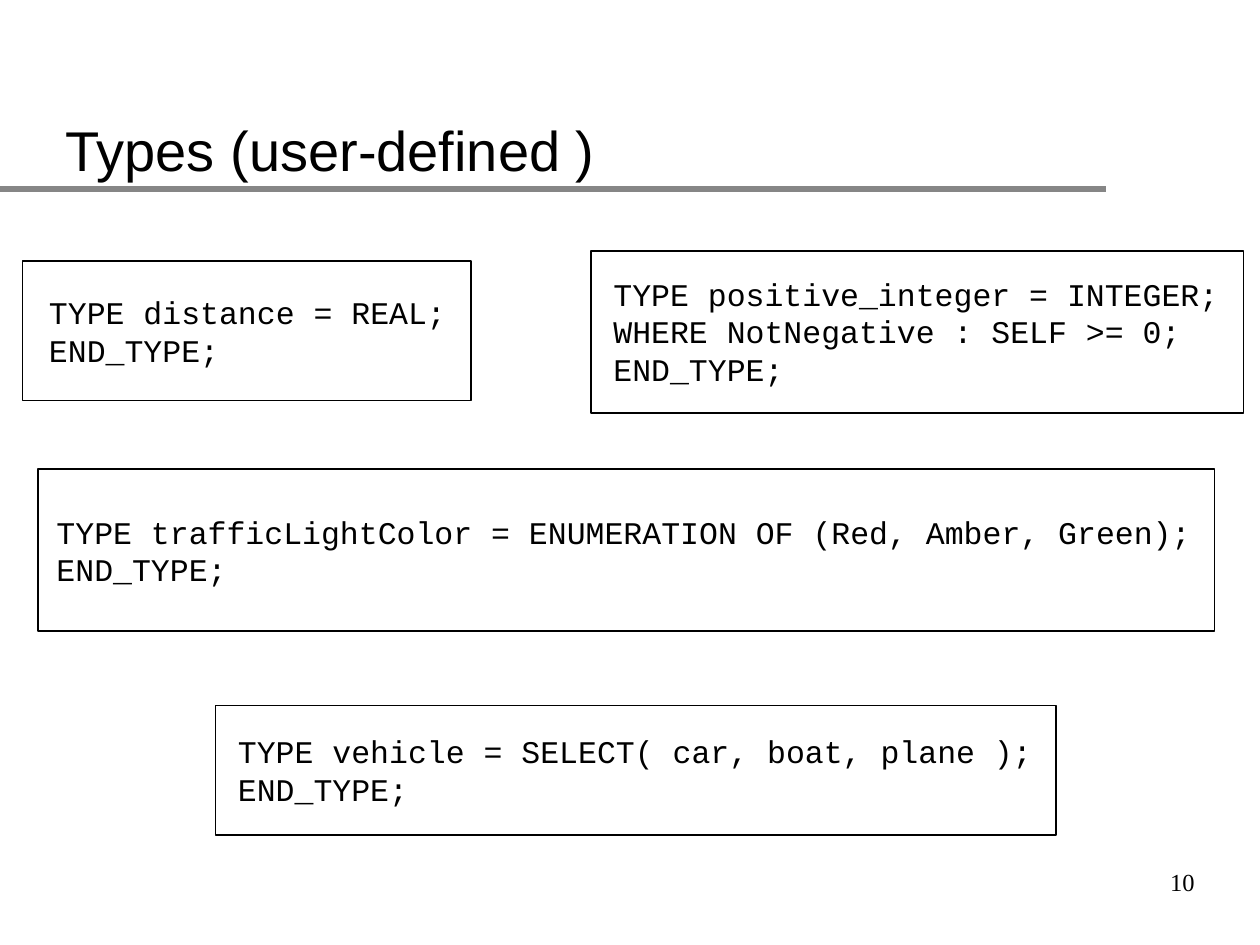
"""Builds the slide on user-defined types."""
from dataclasses import dataclass

from lxml import etree
from pptx import Presentation
from pptx.dml.color import RGBColor
from pptx.enum import shapes, text
from pptx.oxml.ns import qn
from pptx.util import Inches, Pt


@dataclass(frozen=True)
class Theme:
    """Colours, fonts and type sizes of the slide."""
    ink: RGBColor = RGBColor(0x00, 0x00, 0x00)
    paper: RGBColor = RGBColor(0xFF, 0xFF, 0xFF)
    rule: RGBColor = RGBColor(0x86, 0x86, 0x86)
    title_font: str = "Arial"
    code_font: str = "Courier New"
    number_font: str = "Times New Roman"
    title_size: int = 32
    code_size: int = 18
    number_size: int = 14


class SlideBuilder:
    """Holds the theme and the current slide."""

    def __init__(self, prs, theme):
        """Adds a title-only slide."""
        self.theme = theme
        self.s = prs.slides.add_slide(prs.slide_layouts[5])

    def add_text(self, p, content, font, size):
        """Adds one styled run to a paragraph."""
        r = p.add_run()
        r.text = content
        r.font.name = font
        r.font.size = Pt(size)
        r.font.color.rgb = self.theme.ink

    def rule(self, x1, x2, y):
        """Draws the grey horizontal rule."""
        line = self.s.shapes.add_connector(
            shapes.MSO_CONNECTOR.STRAIGHT, Inches(x1), Inches(y), Inches(x2), Inches(y))
        line.line.color.rgb = self.theme.rule
        line.line.width = Pt(4)
        etree.SubElement(line._element.spPr, qn("a:effectLst"))

    def title(self, box, content):
        """Places and fills the title placeholder."""
        sp = self.s.shapes.title
        sp.left, sp.top, sp.width, sp.height = map(Inches, box)
        tf = sp.text_frame
        tf.auto_size = text.MSO_AUTO_SIZE.NONE
        tf.vertical_anchor = text.MSO_ANCHOR.BOTTOM
        p = tf.paragraphs[0]
        p.alignment = text.PP_ALIGN.LEFT
        self.add_text(p, content, self.theme.title_font, self.theme.title_size)

    def frame(self, box):
        """Draws an outlined white rectangle."""
        sp = self.s.shapes.add_shape(shapes.MSO_SHAPE.RECTANGLE, *map(Inches, box))
        sp.shadow.inherit = False
        sp.fill.solid()
        sp.fill.fore_color.rgb = self.theme.paper
        sp.line.color.rgb = self.theme.ink
        sp.line.width = Pt(1)

    def code(self, box, lines):
        """Sets code, one paragraph a line."""
        tf = self.s.shapes.add_textbox(*map(Inches, box)).text_frame
        tf.word_wrap = False
        tf.auto_size = text.MSO_AUTO_SIZE.SHAPE_TO_FIT_TEXT
        for i, line in enumerate(lines):
            p = tf.add_paragraph() if i else tf.paragraphs[0]
            self.add_text(p, line, self.theme.code_font, self.theme.code_size)

    def number(self, box, content):
        """Sets the slide number."""
        tf = self.s.shapes.add_textbox(*map(Inches, box)).text_frame
        tf.word_wrap = True
        tf.vertical_anchor = text.MSO_ANCHOR.MIDDLE
        p = tf.paragraphs[0]
        p.alignment = text.PP_ALIGN.RIGHT
        self.add_text(p, content, self.theme.number_font, self.theme.number_size)


DEFINITIONS = [
    ((4.69, 1.99, 5.18, 1.29), (4.77, 2.13, 5, 1),
     ["TYPE positive_integer = INTEGER;", "WHERE NotNegative : SELF >= 0;", "END_TYPE;"]),
    ((0.3, 3.72, 9.34, 1.29), (0.35, 4.02, 9.2, 0.7),
     ["TYPE trafficLightColor = ENUMERATION OF (Red, Amber, Green);", "END_TYPE;"]),
    ((1.71, 5.6, 6.67, 1.03), (1.79, 5.76, 6.5, 0.7),
     ["TYPE vehicle = SELECT( car, boat, plane );", "END_TYPE;"]),
    ((0.18, 2.07, 3.56, 1.11), (0.29, 2.28, 3.35, 0.7),
     ["TYPE distance = REAL;", "END_TYPE;"]),
]


def main():
    """Builds and saves the presentation."""
    prs = Presentation()
    prs.slide_width, prs.slide_height = Inches(10), Inches(7.5)
    slide = SlideBuilder(prs, Theme())
    slide.rule(0, 8.78, 1.5)
    slide.title((0.42, 0.29, 8.5, 1.21), "Types (user-defined )")
    for frame_box, code_box, lines in DEFINITIONS:
        slide.frame(frame_box)
        slide.code(code_box, lines)
    slide.number((7.5, 6.75, 2.08, 0.5), "10")
    prs.save("out.pptx")


if __name__ == "__main__":
    main()
